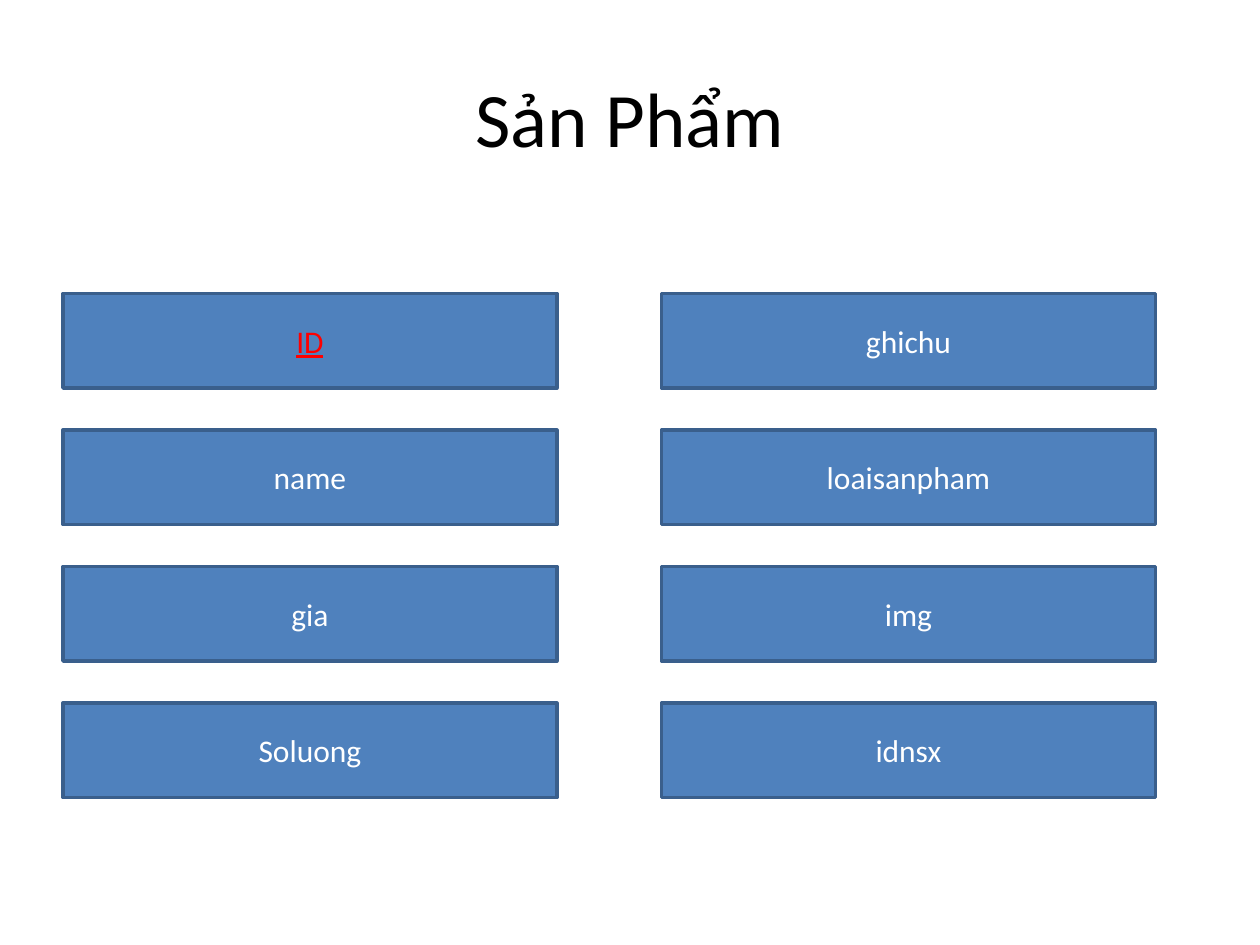
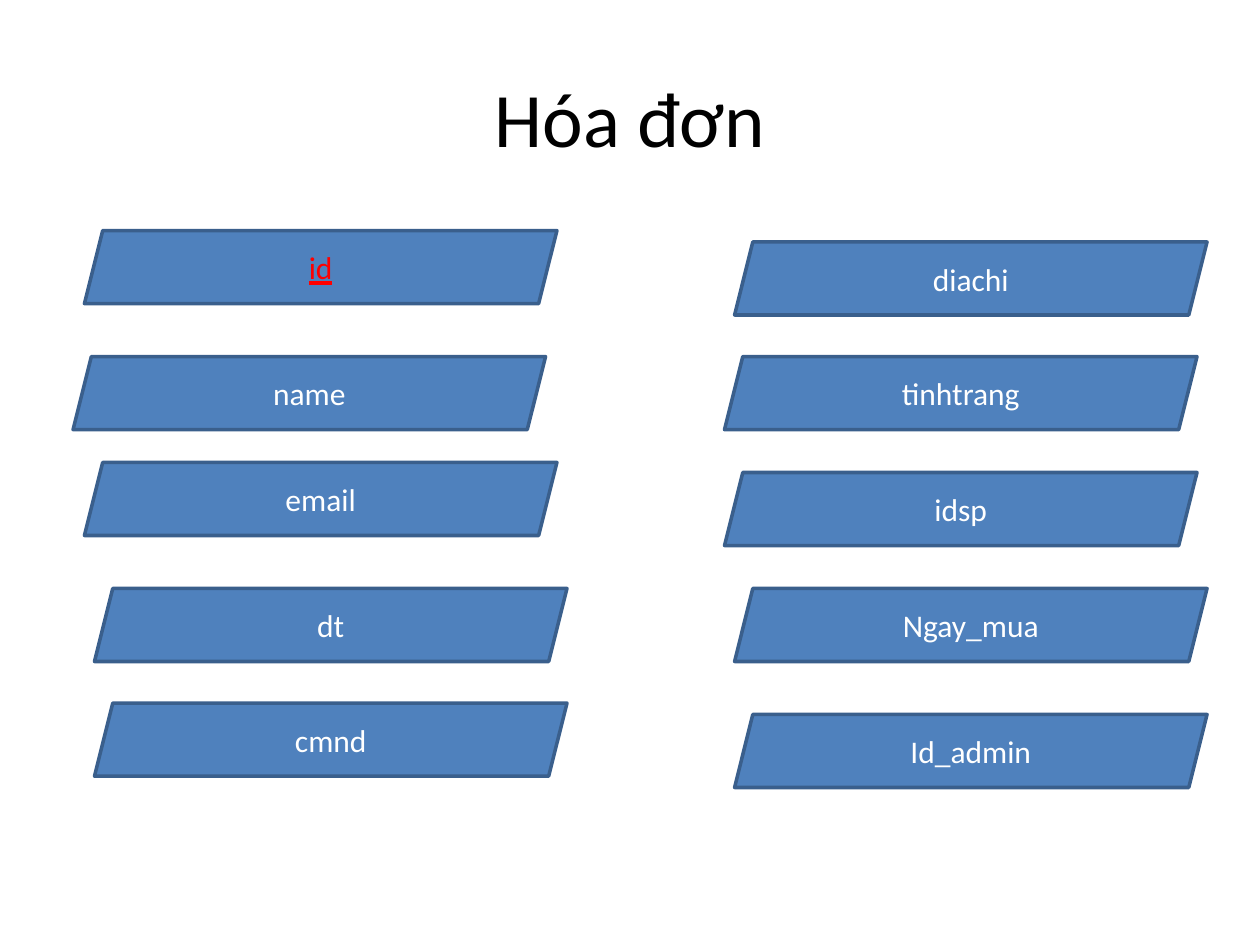
"""Build two slides listing the fields of the product and invoice tables."""
from pptx import Presentation
from pptx.dml.color import RGBColor
from pptx.enum.shapes import MSO_SHAPE
from pptx.enum.text import MSO_ANCHOR, PP_ALIGN
from pptx.util import Inches, Pt

RECT = MSO_SHAPE.RECTANGLE
PARALLELOGRAM = MSO_SHAPE.PARALLELOGRAM
MIDDLE = MSO_ANCHOR.MIDDLE
CENTER = PP_ALIGN.CENTER
TITLE_ONLY = 5
FONT = "Calibri"
COLORS = {"title": "000000", "fill": "4F81BD", "line": "3A5F8C",
          "field": "FFFFFF", "key": "FF0000"}


def write_text(sp, text, size=18, color="field", underline=None):
    tf = sp.text_frame
    tf.word_wrap = True
    tf.vertical_anchor = MIDDLE
    p = tf.paragraphs[0]
    p.alignment = CENTER
    r = p.add_run()
    r.text = text
    r.font.name = FONT
    r.font.size = Pt(size)
    r.font.underline = underline
    r.font.color.rgb = RGBColor.from_string(COLORS[color])


def add_field(s, kind, text, x, y, w, h, is_key):
    sp = s.shapes.add_shape(kind, Inches(x), Inches(y), Inches(w), Inches(h))
    sp.shadow.inherit = False
    sp.fill.solid()
    sp.fill.fore_color.rgb = RGBColor.from_string(COLORS["fill"])
    sp.line.color.rgb = RGBColor.from_string(COLORS["line"])
    sp.line.width = Pt(2)
    if is_key:
        write_text(sp, text, color="key", underline=True)
    else:
        write_text(sp, text)


product_columns = [(0.5, ["ID", "name", "gia", "Soluong"]),
                   (5.25, ["ghichu", "loaisanpham", "img", "idnsx"])]
product_fields = [(text, x, 2.33 + row * 3.25 / 3)
                  for x, names in product_columns
                  for row, text in enumerate(names)]
invoice_fields = [
    ("id", 0.67, 1.83), ("name", 0.58, 2.83), ("email", 0.67, 3.67),
    ("dt", 0.75, 4.67), ("cmnd", 0.75, 5.58),
    ("diachi", 5.83, 1.92), ("tinhtrang", 5.75, 2.83), ("idsp", 5.75, 3.75),
    ("Ngay_mua", 5.83, 4.67), ("Id_admin", 5.83, 5.67),
]
slides = [("Sản Phẩm", RECT, 3.92, 0.75, product_fields),
          ("Hóa đơn", PARALLELOGRAM, 3.75, 0.58, invoice_fields)]

prs = Presentation()
prs.slide_width = Inches(10)
prs.slide_height = Inches(7.5)

for title, kind, w, h, fields in slides:
    s = prs.slides.add_slide(prs.slide_layouts[TITLE_ONLY])
    sp = s.shapes.title
    sp.left, sp.top = Inches(0.5), Inches(0.3)
    sp.width, sp.height = Inches(9), Inches(1.25)
    write_text(sp, title, size=44, color="title")
    for i, (text, x, y) in enumerate(fields):
        add_field(s, kind, text, x, y, w, h, is_key=i == 0)

prs.save("out.pptx")
